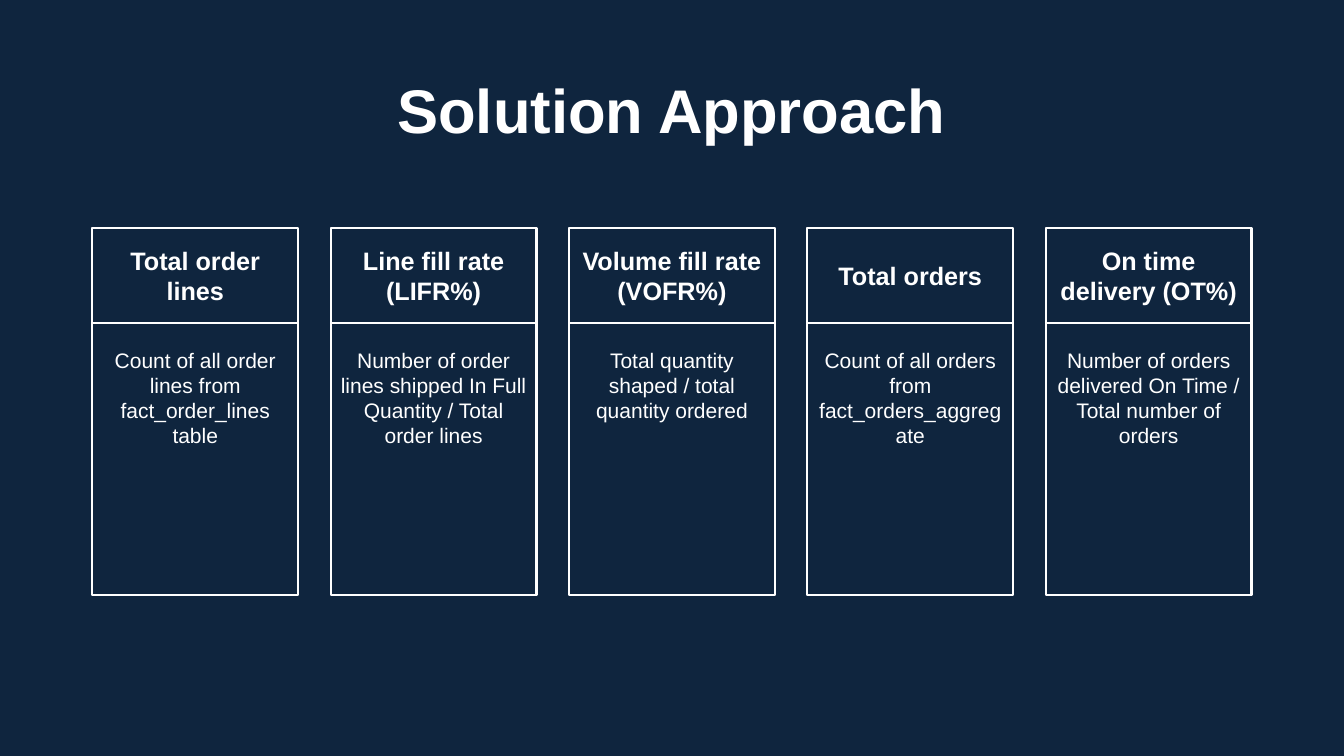
import pptx
import pptx.dml.color
import pptx.enum.shapes
import pptx.enum.text
import pptx.util

Pt = pptx.util.Pt
ANCHOR = pptx.enum.text.MSO_ANCHOR

COLOURS = {"background": "0F253E", "white": "FFFFFF"}
FORMATS = {
    "title": {"size": Pt(44), "bold": True, "name": "Arial"},
    "heading": {"size": Pt(18), "bold": True, "name": "Arial"},
    "body": {"size": Pt(15), "bold": False, "name": "Arial"},
}
FRAMES = {
    "title": {"vertical_anchor": ANCHOR.MIDDLE},
    "heading": {"vertical_anchor": ANCHOR.MIDDLE},
    "body": {"vertical_anchor": ANCHOR.TOP, "margin_top": Pt(17.28)},
}
METRICS = [
    ("Total order lines", "Count of all order lines from fact_order_lines table"),
    ("Line fill rate (LIFR%)",
     "Number of order lines shipped In Full Quantity / Total order lines"),
    ("Volume fill rate (VOFR%)", "Total quantity shaped / total quantity ordered"),
    ("Total orders", "Count of all orders from fact_orders_aggregate"),
    ("On time delivery (OT%)",
     "Number of orders delivered On Time / Total number of orders"),
]
CARD_WIDTH = 147
HEADING_HEIGHT = 68


def colour(name):
    return pptx.dml.color.RGBColor.from_string(COLOURS[name])


def set_attributes(target, values):
    for name, value in values.items():
        setattr(target, name, value)


def write_text(shape, text, style):
    frame = shape.text_frame
    set_attributes(frame, {"word_wrap": True, **FRAMES[style]})
    paragraph = frame.paragraphs[0]
    paragraph.text = text
    paragraph.alignment = pptx.enum.text.PP_ALIGN.CENTER
    set_attributes(paragraph.font, FORMATS[style])
    paragraph.font.color.rgb = colour("white")
    return paragraph


def add_title(slide, left, top, width, height):
    shape = slide.shapes.add_textbox(Pt(left), Pt(top), Pt(width), Pt(height))
    write_text(shape, "Solution Approach", "title").line_spacing = 0.9


def add_panel(slide, left, top, width, height, text, style):
    shape = slide.shapes.add_shape(
        pptx.enum.shapes.MSO_SHAPE.RECTANGLE, Pt(left), Pt(top), Pt(width), Pt(height))
    shape.shadow.inherit = False
    shape.fill.background()
    shape.line.color.rgb = colour("white")
    shape.line.width = Pt(1.5)
    write_text(shape, text, style)


def add_metrics(slide, left, top, width, height):
    pitch = (width - CARD_WIDTH) / (len(METRICS) - 1)
    for index, (heading, body) in enumerate(METRICS):
        card_left = left + index * pitch
        add_panel(slide, card_left, top + HEADING_HEIGHT, CARD_WIDTH,
                  height - HEADING_HEIGHT, body, "body")
        add_panel(slide, card_left, top, CARD_WIDTH, HEADING_HEIGHT, heading, "heading")


def main():
    presentation = pptx.Presentation()
    set_attributes(presentation, {"slide_width": Pt(960), "slide_height": Pt(540)})
    slide = presentation.slides.add_slide(presentation.slide_layouts[6])
    slide.background.fill.solid()
    slide.background.fill.fore_color.rgb = colour("background")
    add_title(slide, 66, 28.8, 828, 104.4)
    add_metrics(slide, 66, 162.75, 828, 262)
    presentation.save("out.pptx")


if __name__ == "__main__":
    main()
